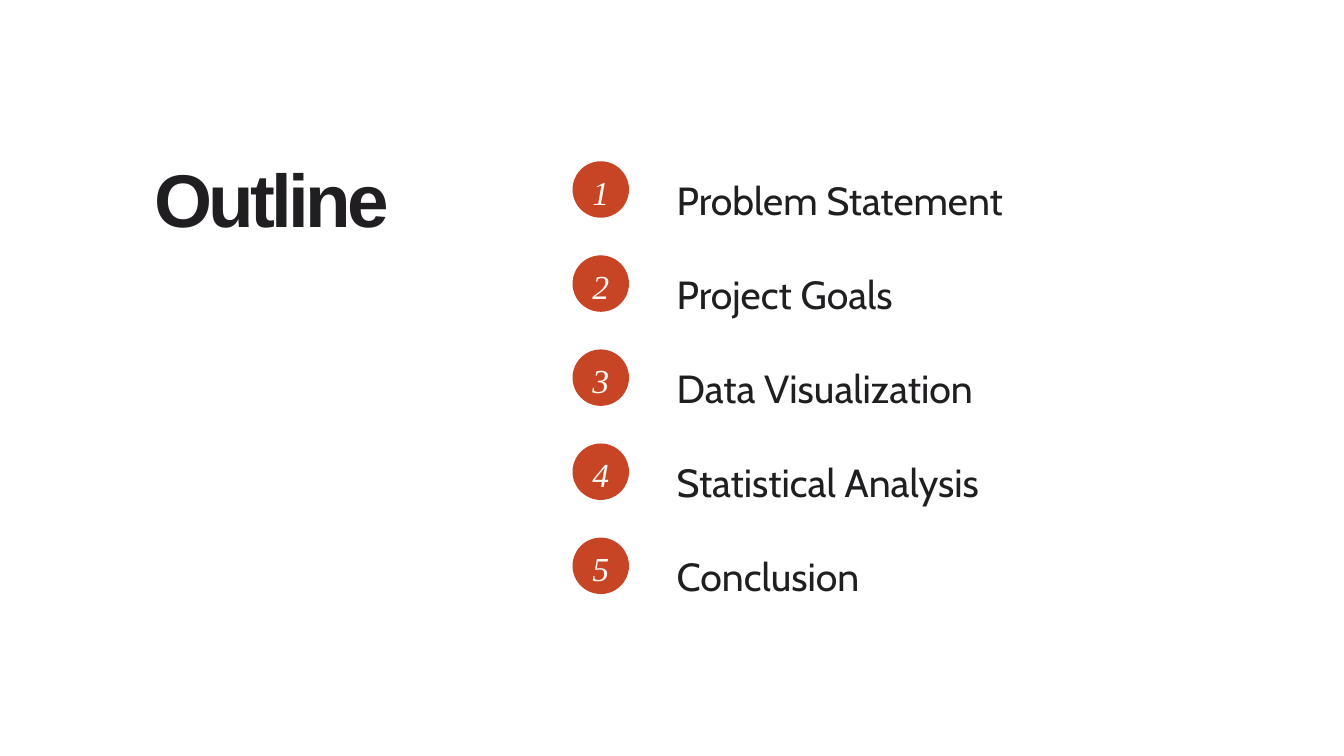
import pptx
import pptx.dml.color
import pptx.enum.shapes
import pptx.enum.text
import pptx.util

Inches = pptx.util.Inches
Pt = pptx.util.Pt
ALIGN = pptx.enum.text.PP_ALIGN

COLORS = {"ink": "201E21", "badge": "C74525", "number": "FAF9F4"}
TOPICS = [
    "Problem Statement",
    "Project Goals",
    "Data Visualization",
    "Statistical Analysis",
    "Conclusion",
]
FIRST_TOP = 2.15
ROW_STEP = 1.4

TITLE = {"name": "Arial", "size": Pt(80), "bold": True}
TOPIC = {"name": "Cabin", "size": Pt(42)}
NUMBER = {"name": "Times New Roman", "size": Pt(36), "italic": True}


def rgb(key):
    return pptx.dml.color.RGBColor.from_string(COLORS[key])


def add_text(slide, box, text, font_format, color, line_height, align=ALIGN.LEFT):
    frame = slide.shapes.add_textbox(*map(Inches, box)).text_frame
    frame_format = {
        "margin_left": 0,
        "margin_top": 0,
        "margin_right": 0,
        "margin_bottom": 0,
        "word_wrap": True,
        "auto_size": pptx.enum.text.MSO_AUTO_SIZE.SHAPE_TO_FIT_TEXT,
    }
    for name, value in frame_format.items():
        setattr(frame, name, value)
    paragraph = frame.paragraphs[0]
    paragraph.alignment = align
    paragraph.line_spacing = Pt(line_height)
    run = paragraph.add_run()
    run.text = text
    for name, value in font_format.items():
        setattr(run.font, name, value)
    run.font.color.rgb = rgb(color)
    return run


def add_badge(slide, top, number):
    circle = slide.shapes.add_shape(
        pptx.enum.shapes.MSO_SHAPE.OVAL,
        Inches(8.52), Inches(top), Inches(0.84), Inches(0.84),
    )
    circle.shadow.inherit = False
    circle.fill.solid()
    circle.fill.fore_color.rgb = rgb("badge")
    circle.line.fill.background()
    add_text(slide, (8.64, top - 0.03, 0.6, 0.74), str(number),
             NUMBER, "number", 56.5, ALIGN.CENTER)


def add_topic(slide, index, topic):
    top = FIRST_TOP + index * ROW_STEP
    add_text(slide, (10.07, top, 8.01, 1.05), topic, TOPIC, "ink", 84)
    add_badge(slide, top + 0.25, index + 1)


def add_title(slide):
    title = add_text(slide, (2.3, 2.28, 4.66, 1.44), "Outline",
                     TITLE, "ink", 96, ALIGN.JUSTIFY)
    title._r.get_or_add_rPr().set("spc", "-400")


def main():
    deck = pptx.Presentation()
    deck.slide_width = Inches(20)
    deck.slide_height = Inches(11.25)
    slide = deck.slides.add_slide(deck.slide_layouts[6])
    for index, topic in enumerate(TOPICS):
        add_topic(slide, index, topic)
    add_title(slide)
    deck.save("out.pptx")


if __name__ == "__main__":
    main()
